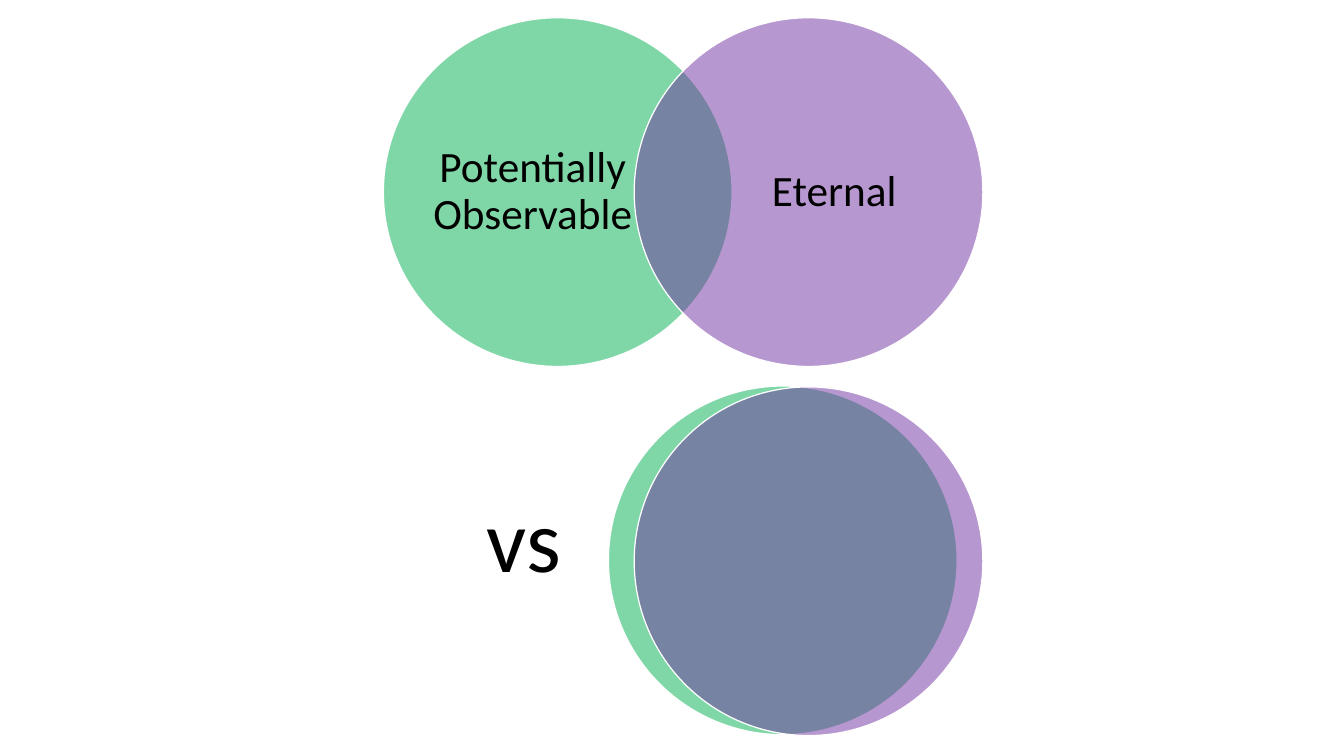
from dataclasses import dataclass

from lxml.etree import SubElement
from pptx import Presentation
from pptx.dml.color import RGBColor
from pptx.enum.shapes import MSO_SHAPE
from pptx.enum.text import MSO_ANCHOR, MSO_AUTO_SIZE, PP_ALIGN
from pptx.oxml.ns import qn
from pptx.shapes.shapetree import GroupShapes, SlideShapes
from pptx.util import Inches, Pt


@dataclass(frozen=True)
class Theme:
    font: str = "Calibri"
    label_size: int = 35
    versus_size: int = 72
    text: str = "000000"
    outline: str = "FFFFFF"
    observable: str = "00B050"
    eternal: str = "7030A0"
    alpha: int = 50
    diameter: float = 3.92


@dataclass(frozen=True)
class Circle:
    left: float
    top: float
    color: str


@dataclass(frozen=True)
class Label:
    text: str
    left: float
    top: float
    width: float
    height: float
    size: int


THEME = Theme()
RIGHT_CIRCLE = 7.13
LABEL_BOX = dict(top=0.66, width=2.26, height=3, size=THEME.label_size)
LABEL_FORMAT = dict(margin_left=0, margin_right=0, margin_top=0, margin_bottom=0,
                    vertical_anchor=MSO_ANCHOR.MIDDLE, word_wrap=True)
LABEL_PARAGRAPH = dict(alignment=PP_ALIGN.CENTER, line_spacing=0.9)
VERSUS_FORMAT = dict(word_wrap=False, auto_size=MSO_AUTO_SIZE.SHAPE_TO_FIT_TEXT)

SEPARATE = (
    (Circle(4.31, 0.2, THEME.observable), Label("Potentially Observable", 4.86, **LABEL_BOX)),
    (Circle(RIGHT_CIRCLE, 0.2, THEME.eternal), Label("Eternal", 8.25, **LABEL_BOX)),
)
OVERLAPPING = (
    (Circle(6.84, 4.34, THEME.observable), None),
    (Circle(RIGHT_CIRCLE, 4.35, THEME.eternal), None),
)
VERSUS = Label("vs", 5.37, 5.39, 1.05, 1.31, THEME.versus_size)


def apply(target: object, values: dict) -> None:
    """Set each named attribute of target to its format value."""
    for name, value in values.items():
        setattr(target, name, value)


def add_circle(shapes: GroupShapes, circle: Circle) -> None:
    size = Inches(THEME.diameter)
    sp = shapes.add_shape(MSO_SHAPE.OVAL, Inches(circle.left), Inches(circle.top), size, size)
    sp.shadow.inherit = False
    sp.fill.solid()
    sp.fill.fore_color.rgb = RGBColor.from_string(circle.color)
    color = sp.fill._xPr.find(qn("a:solidFill"))[0]
    SubElement(color, qn("a:alpha"), val=str(THEME.alpha * 1000))
    sp.line.color.rgb = RGBColor.from_string(THEME.outline)
    sp.line.width = Pt(1)


def add_label(shapes: SlideShapes | GroupShapes, label: Label,
              frame: dict, paragraph: dict) -> None:
    box = (label.left, label.top, label.width, label.height)
    tf = shapes.add_textbox(*map(Inches, box)).text_frame
    apply(tf, frame)
    p = tf.paragraphs[0]
    apply(p, paragraph)
    r = p.add_run()
    r.text = label.text
    apply(r.font, dict(name=THEME.font, size=Pt(label.size)))
    r.font.color.rgb = RGBColor.from_string(THEME.text)


def main() -> None:
    prs = Presentation()
    apply(prs, dict(slide_width=Inches(15.11), slide_height=Inches(8.5)))
    s = prs.slides.add_slide(prs.slide_layouts[6])
    for venn in (SEPARATE, OVERLAPPING):
        group = s.shapes.add_group_shape().shapes
        for circle, label in venn:
            add_circle(group, circle)
            if label:
                add_label(group, label, LABEL_FORMAT, LABEL_PARAGRAPH)
    add_label(s.shapes, VERSUS, VERSUS_FORMAT, {})
    prs.save("out.pptx")


if __name__ == "__main__":
    main()
